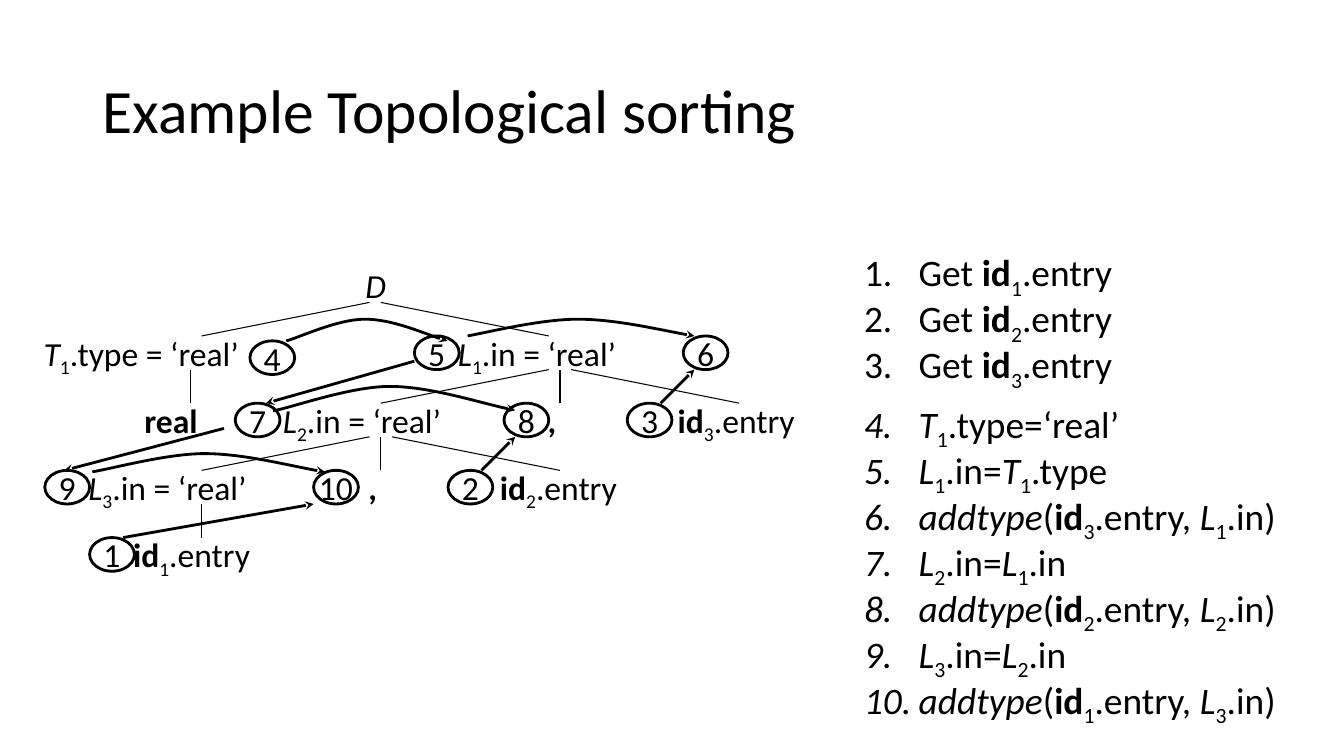
from dataclasses import dataclass
from pptx import Presentation
from pptx import util as u
from pptx.dml import color
from pptx.enum import shapes, text
from pptx.oxml import ns, xmlchemy


@dataclass(frozen=True)
class Theme:
    ink = color.RGBColor(0, 0, 0)
    face = "Calibri"
    title = 44
    body = 26.7
    label = 24
    thin = 0.75
    thick = 2


theme = Theme()


def write_text(frame, lines, size, align=text.PP_ALIGN.LEFT, anchor=text.MSO_ANCHOR.TOP,
               wrap=False, spacing=1.0, numbered=False, gap_before=()):
    frame.word_wrap = wrap
    frame.auto_size = text.MSO_AUTO_SIZE.NONE
    frame.vertical_anchor = anchor
    for index, line in enumerate(lines):
        para = frame.paragraphs[0] if index == 0 else frame.add_paragraph()
        if numbered:
            props = para._p.get_or_add_pPr()
            props.set("marL", str(u.Pt(57)))
            props.set("indent", str(u.Pt(-39)))
            bullet = xmlchemy.OxmlElement("a:buAutoNum")
            bullet.set("type", "arabicPeriod")
            props.append(bullet)
        para.alignment = align
        para.line_spacing = spacing
        para.space_before = u.Pt(10 if index in gap_before else 0)
        for piece in line.split("|"):
            mark = piece[0] if piece[0] in "*/_" else ""
            span = para.add_run()
            span.text = piece[len(mark):]
            span.font.name = theme.face
            span.font.size = u.Pt(size)
            span.font.color.rgb = theme.ink
            span.font.bold = mark == "*"
            span.font.italic = mark == "/"
            if mark == "_":
                span._r.get_or_add_rPr().set("baseline", "-25000")


def style_line(shape, width, arrow=False):
    shape.line.color.rgb = theme.ink
    shape.line.width = u.Pt(width)
    if arrow:
        tip = xmlchemy.OxmlElement("a:tailEnd")
        tip.set("type", "stealth")
        shape.line._get_or_add_ln().append(tip)
    shape._element.spPr.append(xmlchemy.OxmlElement("a:effectLst"))


deck = Presentation()
deck.slide_width, deck.slide_height = u.Pt(960), u.Pt(540)
page = deck.slides.add_slide(deck.slide_layouts[1])

title = page.shapes.title
title.left, title.top, title.width, title.height = map(u.Pt, (66, 28.8, 828, 104.4))
write_text(title.text_frame, ["Example Topological sorting"], theme.title,
           anchor=text.MSO_ANCHOR.MIDDLE, wrap=True, spacing=0.9)

steps = [
    "Get |*id|_1|.entry",
    "Get |*id|_2|.entry",
    "Get |*id|_3|.entry",
    "/T|_1|.type=‘real’",
    "/L|_1|.in=|/T|_1|.type",
    "/addtype|(|*id|_3|.entry, |/L|_1|.in)",
    "/L|_2|.in=|/L|_1|.in",
    "/addtype|(|*id|_2|.entry, |/L|_2|.in)",
    "/L|_3|.in=|/L|_2|.in",
    "/addtype|(|*id|_1|.entry, |/L|_3|.in)",
]
body = page.placeholders[1]
body.left, body.top, body.width, body.height = map(u.Pt, (592, 175, 350, 350))
write_text(body.text_frame, steps, theme.body, wrap=True, spacing=0.9,
           numbered=True, gap_before=(3,))

row_top, row_step = 192, 48
labels = [
    ("/D", 254, 0, 30),
    ("/T|_1|.type = ‘real’", 24, 1, 156),
    ("/L|_1|.in = ‘real’", 320, 1, 130),
    ("/L|_2|.in = ‘real’", 195, 2, 130),
    ("/L|_3|.in = ‘real’", 56, 3, 130),
    ("*id|_2|.entry", 350, 3, 100),
    ("*id|_1|.entry", 88, 4, 100),
    ("*id|_3|.entry", 477, 2, 100),
    ("*real", 96, 2, 53),
    ("*,", 256, 3, 21),
    ("*,", 384, 2, 21),
]
for label, left, row, width in labels:
    box = page.shapes.add_textbox(u.Pt(left), u.Pt(row_top - 6 + row * row_step), u.Pt(width), u.Pt(36))
    write_text(box.text_frame, [label], theme.label)

branches = [
    (264, 216, 144, 240), (272, 216, 392, 240), (408, 264, 528, 288),
    (136, 288, 136, 264), (400, 288, 400, 264), (392, 264, 272, 288),
    (272, 336, 272, 312), (144, 384, 144, 360), (264, 312, 144, 336),
    (280, 312, 400, 336),
]
dependencies = [
    (296, 258, 190, 288), (160, 306, 46, 336), (472, 288, 496, 264),
    (344, 336, 368, 312), (88, 384, 224, 360),
]
for ends in branches + dependencies:
    line = page.shapes.add_connector(shapes.MSO_CONNECTOR.STRAIGHT, *map(u.Pt, ends))
    is_arrow = ends in dependencies
    style_line(line, theme.thick if is_arrow else theme.thin, arrow=is_arrow)

nodes = [
    (64, 384), (320, 336), (448, 288), (178.5, 243.5), (296, 240),
    (488, 240), (168, 288), (360, 288), (32, 336), (224, 336),
]
for number, (left, top) in enumerate(nodes, 1):
    node = page.shapes.add_shape(shapes.MSO_SHAPE.OVAL, u.Pt(left), u.Pt(top), u.Pt(32), u.Pt(24))
    node.fill.background()
    style_line(node, theme.thick)
    write_text(node.text_frame, [str(number)], theme.label,
               align=text.PP_ALIGN.CENTER, anchor=text.MSO_ANCHOR.MIDDLE)

curves = [
    [(204.5, 243.5), (214, 241), (241, 228), (260.5, 228), (280, 228), (307, 240), (319.5, 243.5)],
    [(66, 337), (79, 335), (119, 324), (146, 324), (174, 324), (212, 334), (232, 337)],
    [(195, 293.5), (209, 291), (250, 276), (278.5, 276), (307, 276), (348, 289.5), (368, 293)],
    [(334, 240), (348, 237.5), (386, 228), (412.5, 228), (440, 228), (477, 237), (496, 240)],
]
for points in curves:
    start, *rest = [(u.Pt(x), u.Pt(y)) for x, y in points]
    builder = page.shapes.build_freeform(*start)
    builder.add_line_segments(rest, close=False)
    curve = builder.convert_to_shape()
    segments = list(curve._element.iter(ns.qn("a:lnTo")))
    outline = segments[0].getparent()
    for first in range(0, len(segments), 3):
        bezier = xmlchemy.OxmlElement("a:cubicBezTo")
        outline.append(bezier)
        for segment in segments[first:first + 3]:
            bezier.append(segment[0])
            outline.remove(segment)
    curve.fill.background()
    style_line(curve, theme.thick, arrow=True)

deck.save("out.pptx")
